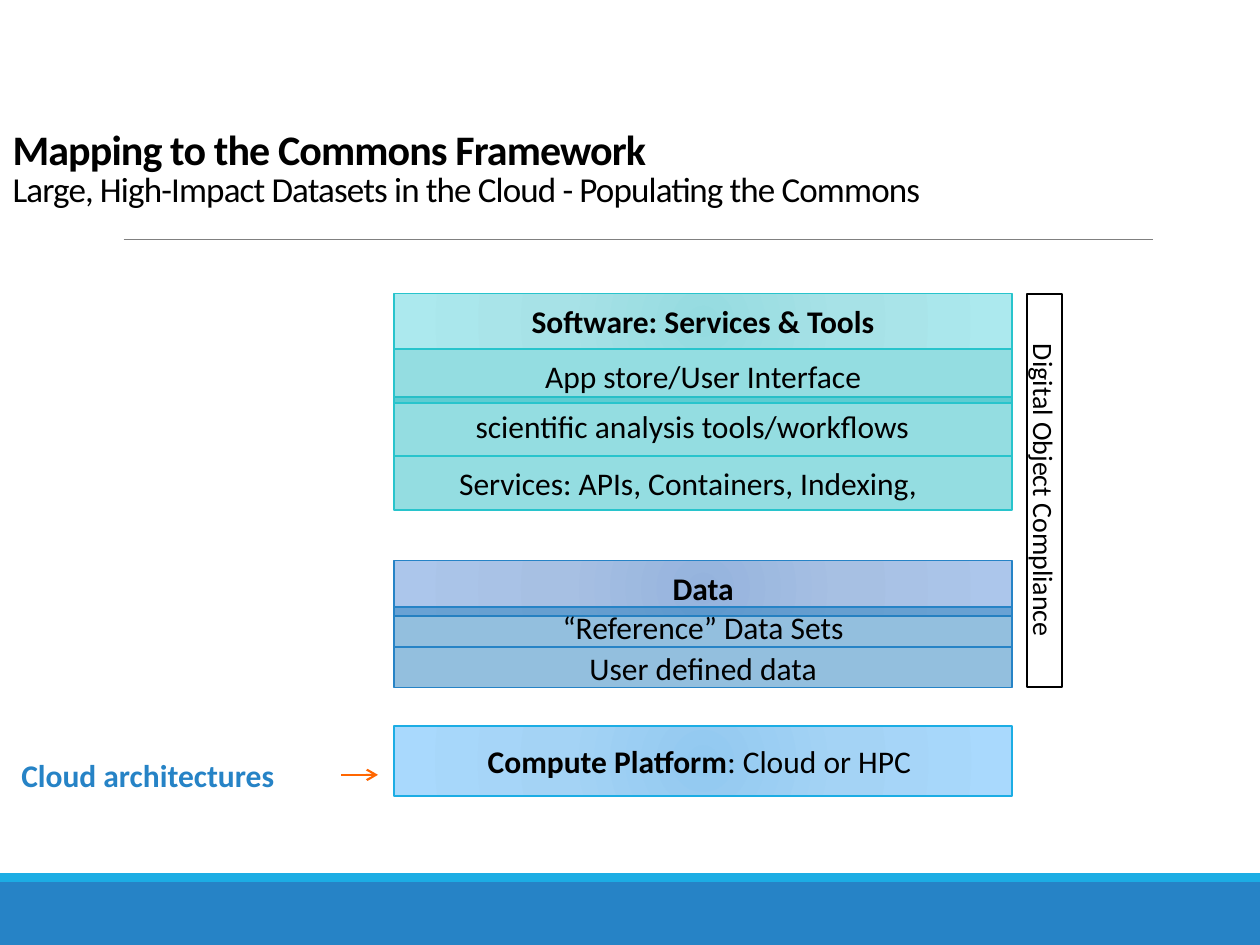
from pptx import Presentation
from pptx.dml.color import RGBColor
from pptx.enum.shapes import MSO_CONNECTOR, MSO_SHAPE
from pptx.enum.text import MSO_ANCHOR, MSO_AUTO_SIZE, PP_ALIGN
from pptx.oxml import parse_xml
from pptx.oxml.ns import nsdecls, qn
from pptx.oxml.xmlchemy import OxmlElement
from pptx.util import Cm, Pt

RECTANGLE = MSO_SHAPE.RECTANGLE
STRAIGHT = MSO_CONNECTOR.STRAIGHT
MIDDLE, BOTTOM = MSO_ANCHOR.MIDDLE, MSO_ANCHOR.BOTTOM
LEFT, CENTER = PP_ALIGN.LEFT, PP_ALIGN.CENTER
NO_AUTOFIT = MSO_AUTO_SIZE.NONE

FONT = "Calibri"
BLACK = RGBColor(0x00, 0x00, 0x00)
WHITE = RGBColor(0xFF, 0xFF, 0xFF)
GRAY = RGBColor(0x80, 0x80, 0x80)
ORANGE = RGBColor(0xFF, 0x66, 0x00)
BLUE = RGBColor(0x26, 0x83, 0xC6)
SKY = RGBColor(0x1C, 0xAD, 0xE4)
TURQUOISE = RGBColor(0x28, 0xC4, 0xCC)
TEAL_TINT = RGBColor(0x26, 0xBB, 0xC3)
BLUE_TINT = RGBColor(0x24, 0x7D, 0xBD)
SKY_GLOW = (RGBColor(0x92, 0xC9, 0xF0), RGBColor(0xA4, 0xD3, 0xF5), RGBColor(0xA9, 0xD9, 0xFD))
TEAL_GLOW = (RGBColor(0x95, 0xDB, 0xE0), RGBColor(0xA7, 0xE2, 0xE7), RGBColor(0xAC, 0xE9, 0xEE))
BLUE_GLOW = (RGBColor(0x95, 0xB3, 0xDD), RGBColor(0xA7, 0xC0, 0xE3), RGBColor(0xAC, 0xC6, 0xEB))

LAYER_LEFT, LAYER_WIDTH = 7.95, 12.45
LAYERS = [
    # runs, top, height, fill, border, extra right inset
    ([("Compute Platform", True), (": Cloud or HPC", False)], 14.63, 1.42, SKY_GLOW, SKY, 0.15),
    ([("Services: APIs, Containers, Indexing,", False)], 9.19, 1.09, TEAL_TINT, TURQUOISE, 0.6),
    ([("Software: Services & Tools", True)], 5.92, 1.12, TEAL_GLOW, TURQUOISE, 0),
    ([("scientific analysis tools/workflows", False)], 8.0, 1.19, TEAL_TINT, TURQUOISE, 0.44),
    ([("Data", True)], 11.3, 1.12, BLUE_GLOW, BLUE, 0),
    ([("“Reference” Data Sets", False)], 12.24, 0.81, BLUE_TINT, BLUE, 0),
    ([("User defined data", False)], 13.05, 0.81, BLUE_TINT, BLUE, 0),
    ([("App store/User Interface", False)], 7.04, 1.09, TEAL_TINT, TURQUOISE, 0),
]


def add_run(paragraph, text, size, bold=False, color=BLACK):
    """Append one formatted run and return it."""
    run = paragraph.add_run()
    run.text = text
    run.font.name = FONT
    run.font.size = Pt(size)
    run.font.bold = bold
    run.font.color.rgb = color
    return run


def add_box(slide, left, top, width, height, fill, border=None, weight=1):
    """Add a flat rectangle."""
    box = slide.shapes.add_shape(RECTANGLE, Cm(left), Cm(top), Cm(width), Cm(height))
    box.shadow.inherit = False
    box.fill.solid()
    box.fill.fore_color.rgb = fill
    if border is None:
        box.line.fill.background()
    else:
        box.line.color.rgb = border
        box.line.width = Pt(weight)
    return box


def set_glow(box, colors):
    """Replace the solid fill by a radial gradient."""
    stops = "".join(
        f'<a:gs pos="{position}"><a:srgbClr val="{color}"/></a:gs>'
        for position, color in zip((0, 45000, 100000), colors)
    )
    gradient = parse_xml(
        f'<a:gradFill {nsdecls("a")} rotWithShape="1"><a:gsLst>{stops}</a:gsLst>'
        '<a:path path="circle"><a:fillToRect l="100000" t="100000" r="100000" b="100000"/>'
        "</a:path></a:gradFill>"
    )
    properties = box._element.spPr
    properties.replace(properties.find(qn("a:solidFill")), gradient)


def set_opacity(box, percent):
    """Make the solid fill partly transparent."""
    alpha = OxmlElement("a:alpha")
    alpha.set("val", str(percent * 1000))
    box._element.spPr.find(qn("a:solidFill")).find(qn("a:srgbClr")).append(alpha)


def fill_label(box, runs, size):
    """Write centred text into a box."""
    frame = box.text_frame
    frame.word_wrap = True
    frame.vertical_anchor = MIDDLE
    paragraph = frame.paragraphs[0]
    paragraph.alignment = CENTER
    for text, bold in runs:
        add_run(paragraph, text, size, bold)


def add_layer(slide, runs, top, height, fill, border, inset):
    """Add one layer of the framework stack."""
    is_header = isinstance(fill, tuple) and not isinstance(fill, RGBColor)
    layer = add_box(slide, LAYER_LEFT, top, LAYER_WIDTH, height,
                    fill[0] if is_header else fill, border)
    if is_header:
        set_glow(layer, fill)
    else:
        set_opacity(layer, 49)
    fill_label(layer, runs, 18)
    layer.text_frame.margin_right = Cm(0.25 + inset)


def add_line(slide, start, end, y, color, weight, arrow=False):
    """Add a horizontal line, with an arrowhead if asked."""
    line = slide.shapes.add_connector(STRAIGHT, Cm(start), Cm(y), Cm(end), Cm(y))
    line.line.color.rgb = color
    line.line.width = Pt(weight)
    if arrow:
        head = OxmlElement("a:tailEnd")
        head.set("type", "arrow")
        line.line._get_or_add_ln().append(head)
    line._element.spPr.append(OxmlElement("a:effectLst"))


def set_title(slide):
    """Place the title and its lighter second line."""
    title = slide.shapes.title
    title.left, title.top, title.width, title.height = Cm(0), Cm(1.57), Cm(24.77), Cm(2.79)
    frame = title.text_frame
    frame.auto_size = NO_AUTOFIT
    frame.word_wrap = True
    frame.vertical_anchor = BOTTOM
    paragraph = frame.paragraphs[0]
    paragraph.alignment = LEFT
    paragraph.line_spacing = 0.85
    heading = add_run(paragraph, "Mapping to the Commons Framework", 24, True)
    paragraph.add_line_break()
    subheading = add_run(
        paragraph, "Large, High-Impact Datasets in the Cloud - Populating the Commons", 20)
    for run in (heading, subheading):
        run._r.get_or_add_rPr().set("spc", "-50")


def add_caption(slide):
    """Add the caption that points at the compute layer."""
    caption = slide.shapes.add_textbox(Cm(0.18), Cm(15.11), Cm(7.06), Cm(1.02))
    caption.text_frame.word_wrap = True
    add_run(caption.text_frame.paragraphs[0], "Cloud architectures", 18, True, BLUE)


def main():
    """Build the slide and save it."""
    deck = Presentation()
    deck.slide_width, deck.slide_height = Cm(25.4), Cm(19.05)
    slide = deck.slides.add_slide(deck.slide_layouts[5])
    add_box(slide, 0, 17.78, 25.4, 1.27, BLUE)
    add_box(slide, 0, 17.6, 25.4, 0.18, SKY)
    add_line(slide, 2.49, 23.24, 4.83, GRAY, 0.5)
    set_title(slide)
    for layer in LAYERS:
        add_layer(slide, *layer)
    compliance = add_box(slide, 17.09, 9.53, 7.92, 0.71, WHITE, BLACK, 1.25)
    compliance.rotation = 90
    fill_label(compliance, [("Digital Object Compliance", False)], 16)
    add_caption(slide)
    add_line(slide, 6.88, 7.62, 15.62, ORANGE, 1.25, arrow=True)
    deck.save("out.pptx")


if __name__ == "__main__":
    main()
